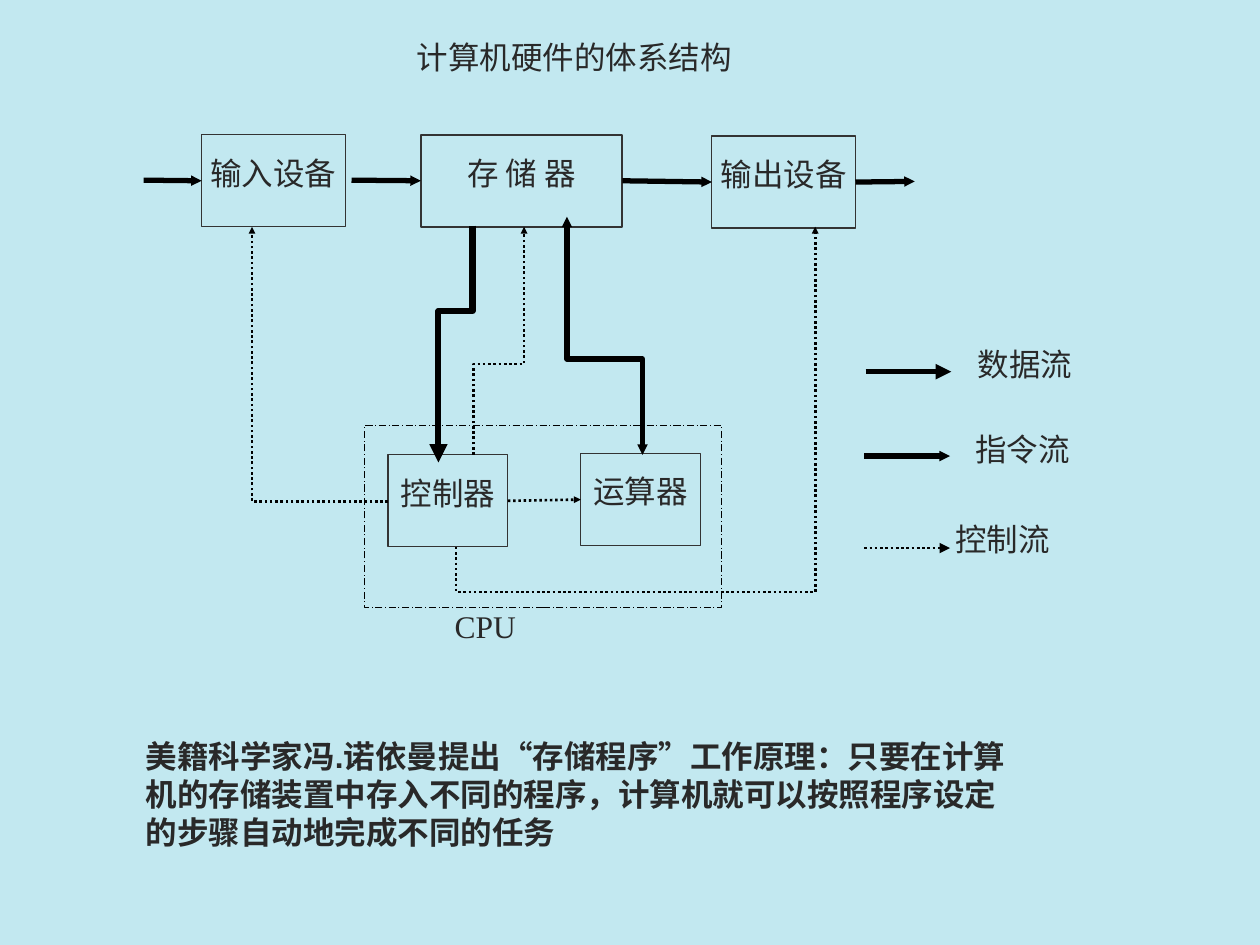
from lxml.etree import SubElement
from pptx import Presentation
from pptx.dml.color import RGBColor
from pptx.enum.dml import MSO_LINE
from pptx.enum.shapes import MSO_CONNECTOR, MSO_SHAPE
from pptx.enum.text import MSO_ANCHOR, MSO_AUTO_SIZE, PP_ALIGN
from pptx.oxml.ns import qn
from pptx.util import Inches, Pt

COLORS = {"page": "C2E8F0", "text": "292929", "edge": "333333", "flow": "000000"}
LEFT, MID, JUST = PP_ALIGN.LEFT, PP_ALIGN.CENTER, PP_ALIGN.JUSTIFY
TOP, LOW = MSO_ANCHOR.TOP, MSO_ANCHOR.BOTTOM
FIXED, GROW = MSO_AUTO_SIZE.NONE, MSO_AUTO_SIZE.SHAPE_TO_FIT_TEXT
DOTS = MSO_LINE.ROUND_DOT
SERIF, SANS = "Times New Roman", "Arial"

deck = Presentation()
deck.slide_width, deck.slide_height = Inches(10), Inches(7.5)
unit = deck.slide_width // 100
slide = deck.slides.add_slide(deck.slide_layouts[6])
slide.background.fill.solid()
slide.background.fill.fore_color.rgb = RGBColor.from_string(COLORS["page"])
shapes = slide.shapes


def write(shape, text, align, pads, space=1.0, face=SERIF, bold=False,
          wrap=True, anchor=TOP, fit=FIXED):
    frame = shape.text_frame
    left, top, right, bottom = [round(pad * unit) for pad in pads]
    look = {"margin_left": left, "margin_top": top, "margin_right": right,
            "margin_bottom": bottom, "word_wrap": wrap, "vertical_anchor": anchor,
            "auto_size": fit}
    for key, value in look.items():
        setattr(frame, key, value)
    line = frame.paragraphs[0]
    line.text, line.alignment, line.line_spacing = text, align, space
    for key, value in {"size": Pt(18), "name": face, "bold": bold}.items():
        setattr(line.font, key, value)
    line.font.color.rgb = RGBColor.from_string(COLORS["text"])


def draw(shape, color, width, dash=None, ends=(), size="med"):
    shape.line.color.rgb = RGBColor.from_string(COLORS[color])
    shape.line.width = Pt(width)
    if dash:
        shape.line.dash_style = dash
    for end in ends:
        SubElement(shape.line._get_or_add_ln(), qn(f"a:{end}"), type="triangle", w=size, len=size)


cpu = shapes.add_shape(MSO_SHAPE.RECTANGLE, *[round(n * unit) for n in (28.9, 33.8, 28.4, 14.4)])
cpu.fill.background()
cpu.shadow.inherit = False
draw(cpu, "flow", 0.5, MSO_LINE.LONG_DASH_DOT)

tight = (0.4, 0, 0.4, 0)
boxes = {}
for name, x, y, w, edge in [
    ("控制器", 30.8, 36.1, 9.5, 0.75),
    ("运算器", 46.1, 36, 9.5, 0.75),
    ("输出设备", 56.5, 10.8, 11.4, 0.75),
    ("存 储 器", 33.4, 10.7, 16, 1),
    ("输入设备", 16, 10.7, 11.4, 0.75),
]:
    box = shapes.add_shape(MSO_SHAPE.RECTANGLE, *[round(n * unit) for n in (x, y, w, 7.3)])
    box.fill.background()
    box.shadow.inherit = False
    draw(box, "edge", edge)
    write(box, name, MID, tight, 1.5)
    boxes[name] = box

one, both = ("tailEnd",), ("headEnd", "tailEnd")
for points, width, dash, ends, size in [
    ([(37.6, 36.1), (37.6, 28.9), (41.6, 28.9), (41.6, 18)], 1.5, DOTS, one, "sm"),
    ([(30.8, 39.8), (20, 39.8), (20, 18)], 1.5, DOTS, one, "sm"),
    ([(36.2, 43.4), (36.2, 47), (64.7, 47), (64.7, 18)], 1.5, DOTS, one, "sm"),
    ([(51, 36.1), (51, 28.5), (45, 28.5), (45, 17.2)], 3, None, both, "sm"),
    ([(37.5, 17.9), (37.5, 24.7), (34.8, 24.7), (34.8, 36.7)], 3.5, None, one, "med"),
]:
    spots = [(round(x * unit), round(y * unit)) for x, y in points]
    pen = shapes.build_freeform(*spots[0])
    pen.add_line_segments(spots[1:], close=False)
    route = pen.convert_to_shape()
    route.fill.background()
    route.shadow.inherit = False
    draw(route, "flow", width, dash, ends, size)

for x, y, end, width, dash, size, start, goal in [
    (11.4, 14.3, 16, 3, None, "sm", None, "输入设备"),
    (27.9, 14.3, 33.4, 3, None, "sm", None, "存 储 器"),
    (49.4, 14.3, 56.5, 3, None, "sm", "存 储 器", "输出设备"),
    (68.1, 14.4, 72.6, 3, None, "sm", "输出设备", None),
    (40.3, 39.8, 46.1, 1.5, DOTS, "sm", "控制器", "运算器"),
    (68.7, 29.5, 75.5, 3, None, "med", None, None),
    (68.6, 36.2, 75.4, 3, None, "sm", None, None),
    (68.6, 43.5, 75.4, 1.5, DOTS, "med", None, None),
]:
    ends = [round(n * unit) for n in (x, y, end, y)]
    arrow = shapes.add_connector(MSO_CONNECTOR.STRAIGHT, *ends)
    if start:
        arrow.begin_connect(boxes[start], 3)
    if goal:
        arrow.end_connect(boxes[goal], 1)
    draw(arrow, "flow", width, dash, one, size)
    SubElement(arrow._element.spPr, qn("a:effectLst"))

loose = (1, 0.5, 1, 0.5)
story = "美籍科学家冯.诺依曼提出“存储程序”工作原理：只要在计算机的存储装置中存入不同的程序，计算机就可以按照程序设定的步骤自动地完成不同的任务"
for area, text, align, pads, style in [
    ((21.6, 0, 49.3, 6.2), "计算机硬件的体系结构", MID, (1, 0, 2.3, 0.15), {"anchor": LOW}),
    ((75.6, 25.9, 11.5, 7.3), "数据流", MID, tight, {"space": 1.5}),
    ((75.4, 32.6, 11.5, 7.3), "指令流", MID, tight, {"space": 1.5}),
    ((75.4, 39.8, 13.5, 7.3), "控制流", JUST, tight, {"space": 1.5}),
    ((35.1, 47.7, 6.8, 4), "CPU", LEFT, (1, 0.5, 0, 0.5), {"wrap": False}),
    ((10.6, 58, 71.7, 10), story, LEFT, loose, {"face": SANS, "bold": True, "fit": GROW}),
]:
    label = shapes.add_textbox(*[round(n * unit) for n in area])
    write(label, text, align, pads, **style)

deck.save("out.pptx")
